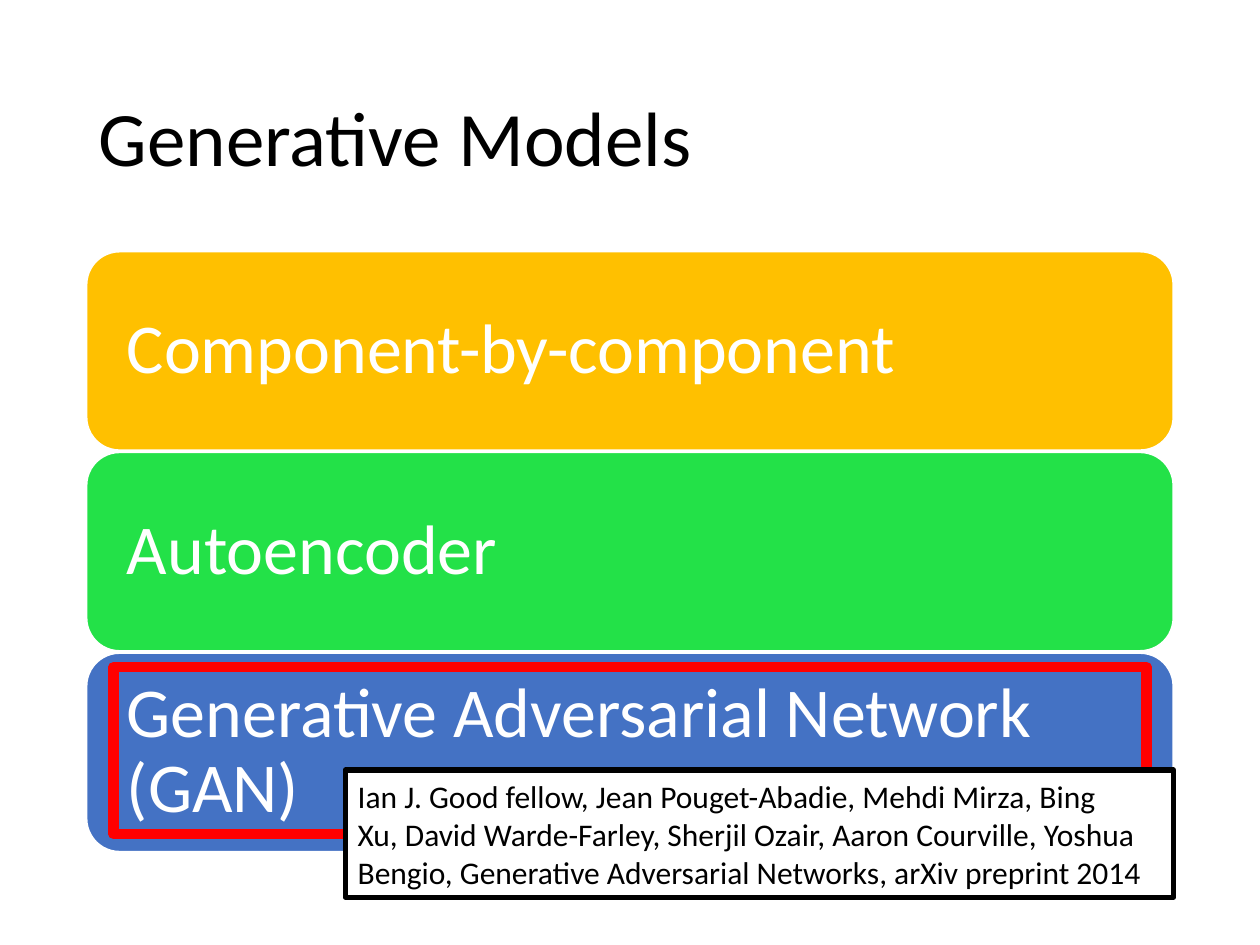
from pptx import Presentation
from pptx import util as u
from pptx.dml.color import RGBColor
from pptx.enum import shapes, text

Pt = u.Pt


def color(hex_code):
    return RGBColor.from_string(hex_code)


def write(box, words, size, hex_code, spacing=None):
    """Put one left-aligned, wrapped, vertically centred paragraph in the box."""
    frame = box.text_frame
    frame.word_wrap = True
    frame.vertical_anchor = text.MSO_ANCHOR.MIDDLE
    para = frame.paragraphs[0]
    para.text = words
    para.alignment = text.PP_ALIGN.LEFT
    para.line_spacing = spacing
    para.font.name = "Calibri"
    para.font.size = Pt(size)
    para.font.color.rgb = color(hex_code)


deck = Presentation()
deck.slide_width, deck.slide_height = Pt(720), Pt(540)
page = deck.slides.add_slide(deck.slide_layouts[6])

left, width = 49.5, 621

title = page.shapes.add_textbox(Pt(left), Pt(28.75), Pt(width), Pt(104.4))
write(title, "Generative Models", 44, "000000", 0.9)

# Stacked model families
models = [
    ("Component-by-component", "FFC000"),
    ("Autoencoder", "23E148"),
    ("Generative Adversarial Network (GAN)", "4472C4"),
]
first_top, pitch, bar_height, inset = 143.8, 114.7, 113.5, 17.5
for row, (name, fill) in enumerate(models):
    bar = page.shapes.add_shape(
        shapes.MSO_SHAPE.ROUNDED_RECTANGLE,
        Pt(left), Pt(first_top + row * pitch), Pt(width), Pt(bar_height))
    bar.shadow.inherit = False
    bar.fill.solid()
    bar.fill.fore_color.rgb = color(fill)
    bar.line.color.rgb = color("FFFFFF")
    bar.line.width = Pt(1)
    frame = bar.text_frame
    frame.margin_left = frame.margin_right = Pt(inset)
    frame.margin_top = frame.margin_bottom = Pt(inset)
    write(bar, name, 40, "FFFFFF", 0.9)

# Highlight around the GAN bar
highlight = page.shapes.add_shape(
    shapes.MSO_SHAPE.RECTANGLE, Pt(64.8), Pt(381.3), Pt(590.4), Pt(95.3))
highlight.shadow.inherit = False
highlight.fill.background()
highlight.line.color.rgb = color("FF0000")
highlight.line.width = Pt(6)

# Citation: non-breaking spaces follow the commas between authors
authors = ["Ian J. Good fellow", "Jean Pouget-Abadie", "Mehdi Mirza", "Bing Xu",
           "David Warde-Farley", "Sherjil Ozair", "Aaron Courville", "Yoshua Bengio"]
citation = page.shapes.add_shape(
    shapes.MSO_SHAPE.RECTANGLE, Pt(197.3), Pt(440), Pt(473.2), Pt(72.7))
citation.shadow.inherit = False
citation.fill.solid()
citation.fill.fore_color.rgb = color("FFFFFF")
citation.line.color.rgb = color("000000")
citation.line.width = Pt(3)
write(citation, f",{chr(160)}".join(authors)
      + ", Generative Adversarial Networks, arXiv preprint 2014", 18, "000000")

deck.save("out.pptx")
